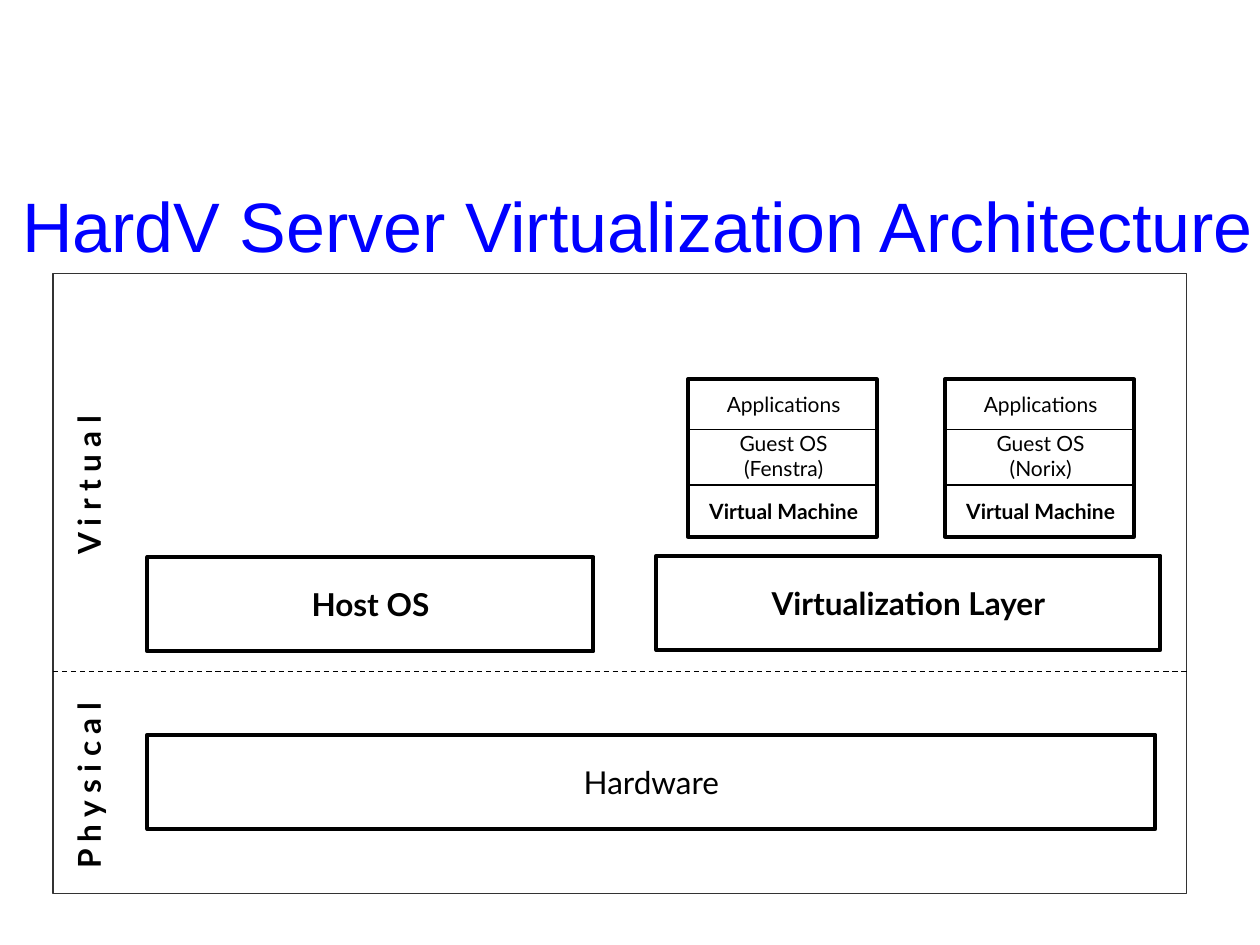
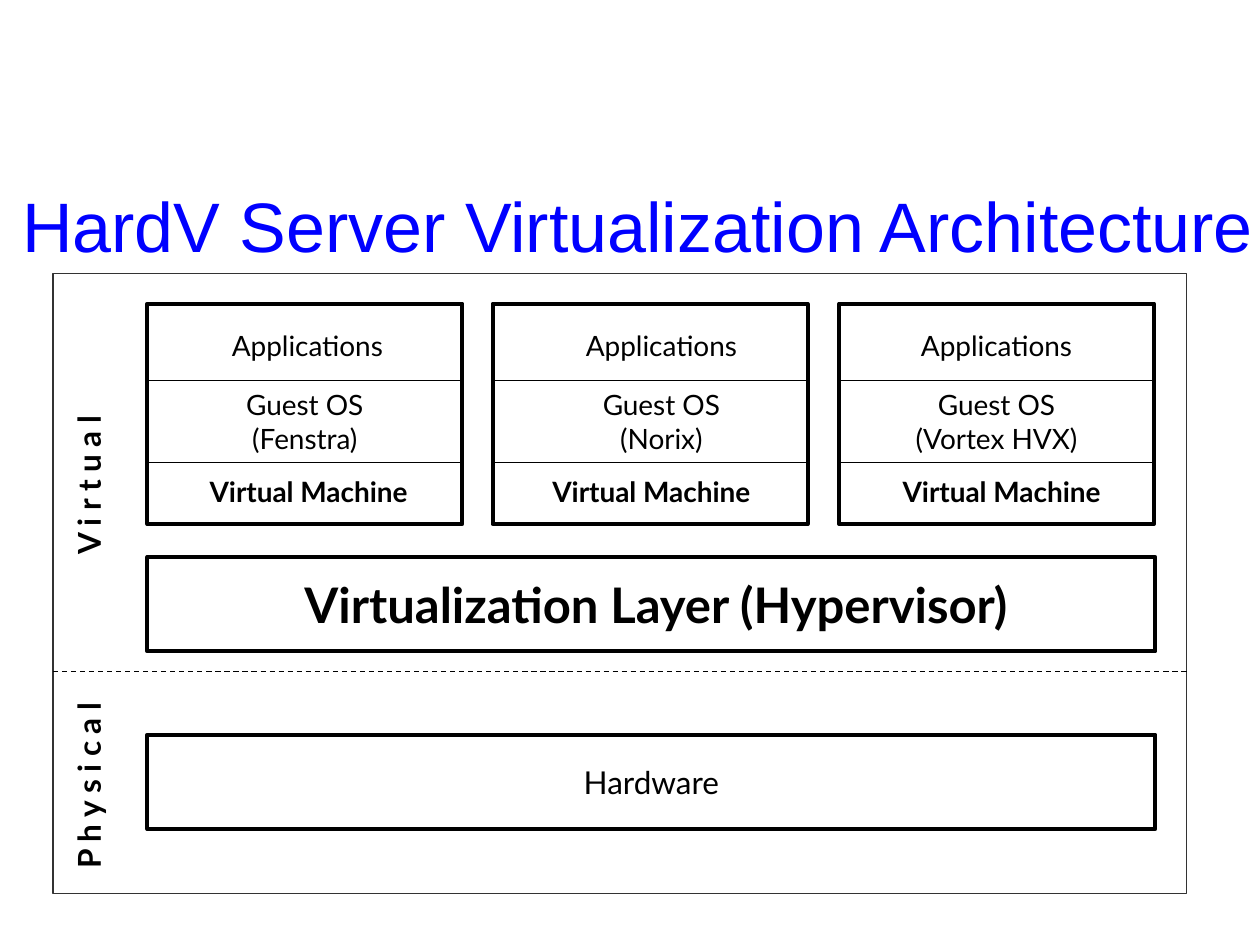
from pptx import Presentation
from pptx import util as u
from pptx.dml import color as col
from pptx.enum import dml, shapes, text
from pptx.oxml import ns, xmlchemy as xml

BLUE = col.RGBColor(0x00, 0x00, 0xFF)
BLACK = col.RGBColor(0x00, 0x00, 0x00)
GREY = col.RGBColor(0x33, 0x33, 0x33)
TITLE = "HardV Server Virtualization Architecture"
PLAIN = {"name": "Lato", "size": u.Pt(18), "bold": False}
HEAVY = {**PLAIN, "bold": True}
HEAD = {**PLAIN, "name": "Arial", "size": u.Pt(40)}
MID = text.PP_ALIGN.CENTER
SMALL = {"top": 3.01, "width": 1.5, "height": 1.25, "cuts": (3.41, 3.85),
         "rows": (3.06, 3.37, 3.91), "size": 12}
LARGE = {"top": 2.41, "width": 2.5, "height": 1.75, "cuts": (3.02, 3.67),
         "rows": (2.56, 3.03, 3.72), "size": 16}


def inch(*nums):
    """Turn plain numbers into lengths in inches."""
    return [u.Inches(num) for num in nums]


def write(frame, words, form, tint=BLACK, align=MID):
    """Fill a text frame, one paragraph for each line of words."""
    frame.text = words
    for para in frame.paragraphs:
        para.alignment = align
        for run in para.runs:
            for key, val in form.items():
                setattr(run.font, key, val)
            run.font.color.rgb = tint


def label(slide, spot, words, form, **extra):
    """Add a wrapping text box."""
    item = slide.shapes.add_textbox(*inch(*spot))
    item.text_frame.word_wrap = True
    write(item.text_frame, words, form, **extra)
    return item


def box(slide, spot, words="", form=PLAIN, tint=BLACK, width=2.25, left=0.1):
    """Add an unfilled rectangle with its centred words."""
    item = slide.shapes.add_shape(shapes.MSO_SHAPE.RECTANGLE, *inch(*spot))
    item.shadow.inherit = False
    item.fill.background()
    item.line.color.rgb = tint
    item.line.width = u.Pt(width)
    if words:
        frame = item.text_frame
        frame.margin_left = u.Inches(left)
        frame.vertical_anchor = text.MSO_ANCHOR.MIDDLE
        write(frame, words, form)


def rule(slide, left, right, y, dash=None):
    """Add a thin level line."""
    item = slide.shapes.add_connector(
        shapes.MSO_CONNECTOR.STRAIGHT, *inch(left, y, right, y))
    item.line.color.rgb = BLACK
    item.line.width = u.Pt(0.75)
    item.line.dash_style = dash
    fx = xml.OxmlElement("a:effectLst")
    item._element.find(ns.qn("p:spPr")).append(fx)


def side(slide, top, height, words):
    """Add a zone name that reads upward."""
    item = label(slide, (0.5, top, 0.5, height), words, HEAVY,
                 align=text.PP_ALIGN.LEFT)
    item.rotation = 180
    item.text_frame.word_wrap = False
    item.text_frame._txBody.bodyPr.set("vert", "eaVert")


def guest(slide, left, system, plan, shifts=(0, 0, 0)):
    """Add a virtual machine with its three layers."""
    width = plan["width"]
    box(slide, (left, plan["top"], width, plan["height"]))
    for y in plan["cuts"]:
        rule(slide, left, left + width, y)
    layers = (("Applications", PLAIN), (f"Guest OS\n({system})", PLAIN),
              ("Virtual Machine", HEAVY))
    for (words, form), top, shift in zip(layers, plan["rows"], shifts):
        lines = words.count("\n") + 1
        tall = 0.1 + lines * plan["size"] / 60
        label(slide, (left + shift, top, width, tall), words,
              {**form, "size": u.Pt(plan["size"])})


def base(deck):
    """Add a slide with the title, zones and hardware."""
    slide = deck.slides.add_slide(deck.slide_layouts[6])
    head = label(slide, (-0.25, 1.16, 10.62, 1.25), TITLE, HEAD, tint=BLUE)
    head.text_frame.vertical_anchor = text.MSO_ANCHOR.MIDDLE
    box(slide, (0.42, 2.17, 9, 4.92), tint=GREY, width=0.75)
    rule(slide, 0.42, 9.42, 5.33, dml.MSO_LINE.DASH)
    side(slide, 3, 1.5, "V i r t u a l")
    side(slide, 5.41, 1.58, "P h y s i c a l")
    box(slide, (1.17, 5.83, 8, 0.75), "Hardware")
    return slide


def hosted(deck):
    """Build the slide with a host system."""
    slide = base(deck)
    box(slide, (1.17, 4.42, 3.54, 0.75), "Host OS", HEAVY)
    box(slide, (5.21, 4.41, 4, 0.75), "Virtualization Layer", HEAVY)
    for left, system in ((5.46, "Fenstra"), (7.5, "Norix")):
        guest(slide, left, system, SMALL, (0.01, 0.01, 0.01))


def bare(deck):
    """Build the slide with a hypervisor."""
    slide = base(deck)
    box(slide, (1.17, 4.42, 8, 0.75), "Virtualization Layer (Hypervisor)",
        {**HEAVY, "size": u.Pt(28)}, left=0.17)
    guest(slide, 1.17, "Fenstra", LARGE, (0.02, 0, 0.03))
    guest(slide, 3.91, "Norix", LARGE, (0.09, 0.09, 0.01))
    guest(slide, 6.66, "Vortex HVX", LARGE, (0, 0, 0.04))


def main():
    """Build and save the deck."""
    deck = Presentation()
    deck.slide_width, deck.slide_height = inch(10, 7.5)
    hosted(deck)
    bare(deck)
    deck.save("out.pptx")


if __name__ == "__main__":
    main()
